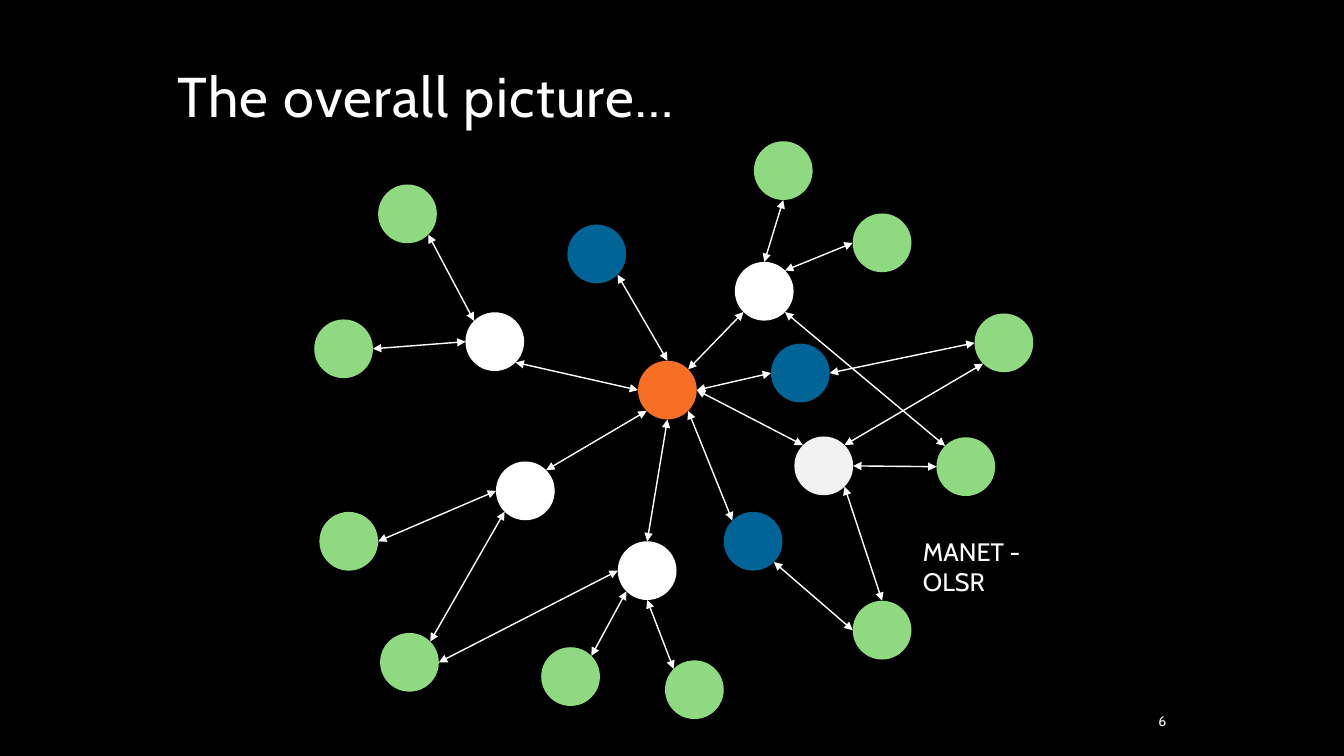
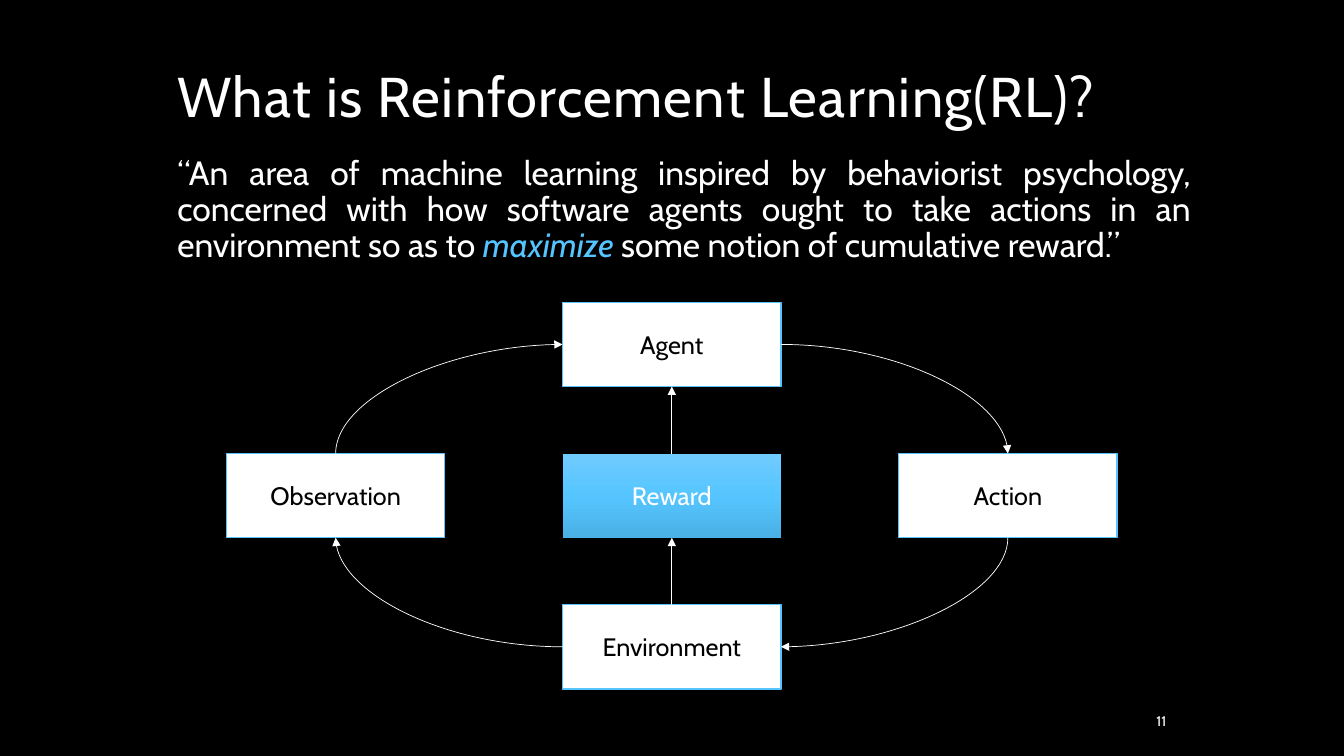
import copy
import math

import pptx
import pptx.dml.color
import pptx.enum.dml
import pptx.enum.shapes
import pptx.enum.text
import pptx.oxml.ns
import pptx.util
from lxml import etree

Cm, Pt = pptx.util.Cm, pptx.util.Pt
ALIGN = pptx.enum.text.PP_ALIGN
ANCHOR = pptx.enum.text.MSO_ANCHOR
SHAPE = pptx.enum.shapes.MSO_SHAPE
CONNECTOR = pptx.enum.shapes.MSO_CONNECTOR
qn = pptx.oxml.ns.qn

COLORS = {
    "black": "000000", "white": "FFFFFF", "pale": "F2F2F2",
    "orange": "F86E24", "blue": "006496", "green": "8FDA81",
    "sky": "56C5FF", "sky_light": "70CBFF", "sky_dark": "4AB0E5",
}
FONT = "Cabin"
TOP, LEFT, BOTTOM, RIGHT = range(4)


def rgb(name):
    return pptx.dml.color.RGBColor.from_string(COLORS[name])


class Deck:
    """Holds the shared style and the slide being drawn."""

    def __init__(self):
        self.prs = pptx.Presentation()
        self.prs.slide_width, self.prs.slide_height = Cm(33.87), Cm(19.05)
        self.slide = None

    def new_slide(self, title, number):
        self.slide = self.prs.slides.add_slide(self.prs.slide_layouts[6])
        self.slide.background.fill.solid()
        self.slide.background.fill.fore_color.rgb = rgb("black")
        heading = self.text([title], 4.22, 1.07, 25.4, 2.33, 40, anchor=ANCHOR.BOTTOM)
        heading.line_spacing = 0.9
        heading.runs[0]._r.get_or_add_rPr().set("spc", "100")
        self.text([number], 27.31, 17.78, 2.33, 0.76, 10,
                  align=ALIGN.RIGHT, anchor=ANCHOR.MIDDLE)

    def set_text(self, frame, parts, size, color, align, anchor):
        """Fill a text frame; a part given as a tuple is emphasised."""
        frame.word_wrap = True
        frame.vertical_anchor = anchor
        paragraph = frame.paragraphs[0]
        paragraph.alignment = align
        paragraph.font.name, paragraph.font.size = FONT, Pt(size)
        paragraph.font.color.rgb = rgb(color)
        for part in parts:
            run = paragraph.add_run()
            if isinstance(part, tuple):
                run.text = part[0]
                run.font.italic = True
                run.font.color.rgb = rgb("sky")
            else:
                run.text = part
        return paragraph

    def text(self, parts, left, top, width, height, size,
             align=ALIGN.LEFT, anchor=ANCHOR.TOP):
        box = self.slide.shapes.add_textbox(Cm(left), Cm(top), Cm(width), Cm(height))
        return self.set_text(box.text_frame, parts, size, "white", align, anchor)

    def shape(self, kind, center, width, height, fill):
        x, y = center
        shape = self.slide.shapes.add_shape(
            kind, Cm(x - width / 2), Cm(y - height / 2), Cm(width), Cm(height))
        shape.shadow.inherit = False
        shape.line.fill.background()
        shape.fill.solid()
        shape.fill.fore_color.rgb = rgb(fill)
        return shape

    def node(self, center, diameter, fill):
        self.shape(SHAPE.OVAL, center, diameter, diameter, fill)

    def box(self, label, center, width, height, gradient=None):
        box = self.shape(SHAPE.RECTANGLE, center, width, height, "white")
        if gradient:
            box.fill.gradient()
            box.fill.gradient_angle = 270
            stop_list = box._element.spPr.find(qn("a:gradFill")).find(qn("a:gsLst"))
            stop_list.append(copy.deepcopy(stop_list[0]))
            for i, (stop, color) in enumerate(zip(box.fill.gradient_stops, gradient)):
                stop.position = i / 2
                stop.color.rgb = rgb(color)
        else:
            box.line.color.rgb = rgb("sky")
            box.line.width = Pt(1)
        self.set_text(box.text_frame, [label], 18, "white" if gradient else "black",
                      ALIGN.CENTER, ANCHOR.MIDDLE)
        return box

    def connector(self, kind, start, end, weight, arrows):
        line = self.slide.shapes.add_connector(kind, *map(Cm, start + end))
        line.line.color.rgb = rgb("white")
        line.line.width = Pt(weight)
        stroke = line._element.spPr.find(qn("a:ln"))
        for arrow in arrows:
            etree.SubElement(stroke, qn("a:" + arrow)).set("type", "triangle")
        etree.SubElement(line._element.spPr, qn("a:effectLst"))
        return line

    def join(self, kind, source, source_side, target, target_side, arrow):
        line = self.connector(kind, (0, 0), (0, 0), 0.5, [arrow])
        line.begin_connect(source, source_side)
        line.end_connect(target, target_side)
        if kind == CONNECTOR.CURVE:
            # A quarter bend: leaves sideways, arrives vertically
            line._element.spPr.find(qn("a:prstGeom")).set("prst", "curvedConnector2")


# Network: colour and centre of each node
NODE_SIZE = 1.48
NODES = {
    "hub": ("orange", 16.82, 9.83),
    "relay east": ("pale", 20.76, 11.74),
    "relay southwest": ("white", 13.24, 12.37),
    "relay west": ("white", 12.47, 8.61),
    "relay south": ("white", 16.31, 14.38),
    "relay north": ("white", 19.26, 7.34),
    "blue south": ("blue", 18.98, 13.64),
    "blue east": ("blue", 20.17, 9.4),
    "blue north": ("blue", 15.04, 6.4),
    "leaf west": ("green", 8.66, 8.79),
    "leaf northwest": ("green", 10.27, 5.39),
    "leaf north": ("green", 19.74, 4.3),
    "leaf northeast": ("green", 22.23, 6.12),
    "leaf east": ("green", 25.3, 8.64),
    "leaf far east": ("green", 24.34, 11.76),
    "leaf southeast": ("green", 22.23, 15.88),
    "leaf south": ("green", 14.38, 17.05),
    "leaf far south": ("green", 17.5, 17.38),
    "leaf southwest": ("green", 8.79, 13.64),
    "leaf far southwest": ("green", 10.32, 16.69),
}
# Links: node and compass side at each end
LINKS = [
    ("relay west", "NW", "leaf northwest", "SE"),
    ("relay west", "W", "leaf west", "E"),
    ("hub", "W", "relay west", "SE"),
    ("hub", "SW", "relay southwest", "NE"),
    ("relay southwest", "W", "leaf southwest", "E"),
    ("leaf far southwest", "NE", "relay southwest", "SW"),
    ("leaf far southwest", "E", "relay south", "W"),
    ("leaf south", "NE", "relay south", "SW"),
    ("leaf far south", "NW", "relay south", "S"),
    ("relay south", "N", "hub", "S"),
    ("blue south", "NW", "hub", "SE"),
    ("relay east", "NW", "hub", "E"),
    ("leaf southeast", "W", "blue south", "SE"),
    ("leaf southeast", "N", "relay east", "SE"),
    ("hub", "NE", "relay north", "SW"),
    ("hub", "E", "blue east", "W"),
    ("relay north", "N", "leaf north", "S"),
    ("relay north", "NE", "leaf northeast", "W"),
    ("blue east", "E", "leaf east", "W"),
    ("relay east", "NE", "leaf east", "SW"),
    ("relay east", "E", "leaf far east", "W"),
    ("leaf far east", "NW", "relay north", "SE"),
    ("hub", "N", "blue north", "SE"),
]
COMPASS = ["E", "SE", "S", "SW", "W", "NW", "N", "NE"]


def rim_point(name, side):
    """Point on a node's rim in the given compass direction."""
    _, x, y = NODES[name]
    angle = COMPASS.index(side) * math.pi / 4
    return (x + NODE_SIZE / 2 * math.cos(angle), y + NODE_SIZE / 2 * math.sin(angle))


def network_slide(deck):
    deck.new_slide("The overall picture…", "6")
    for color, x, y in NODES.values():
        deck.node((x, y), NODE_SIZE, color)
    for source, source_side, target, target_side in LINKS:
        deck.connector(CONNECTOR.STRAIGHT, rim_point(source, source_side),
                       rim_point(target, target_side), 1, ["headEnd", "tailEnd"])
    deck.text(["MANET - OLSR"], 23.01, 13.39, 4.65, 1.02, 18)


def learning_slide(deck):
    deck.new_slide("What is Reinforcement Learning(RL)?", "11")
    definition = deck.text(
        ["“An area of machine learning inspired by behaviorist psychology, concerned "
         "with how software agents ought to take actions in an environment so as to ",
         ("maximize",), " some notion of cumulative reward.”"],
        4.22, 3.81, 26.04, 14.6, 24, align=ALIGN.JUSTIFY)
    definition.line_spacing = 0.9

    # Boxes on a three by three grid: column and row from the middle
    def place(label, column, row, gradient=None):
        center = (16.93 + 8.47 * column, 12.49 + 3.81 * row)
        return deck.box(label, center, 5.5, 2.12, gradient)

    agent = place("Agent", 0, -1)
    reward = place("Reward", 0, 0, ["sky_light", "sky", "sky_dark"])
    environment = place("Environment", 0, 1)
    action = place("Action", 1, 0)
    observation = place("Observation", -1, 0)

    # Outer loop, then the reward path
    curve, straight = CONNECTOR.CURVE, CONNECTOR.STRAIGHT
    deck.join(curve, agent, RIGHT, action, TOP, "tailEnd")
    deck.join(curve, environment, RIGHT, action, BOTTOM, "headEnd")
    deck.join(curve, environment, LEFT, observation, BOTTOM, "tailEnd")
    deck.join(curve, agent, LEFT, observation, TOP, "headEnd")
    deck.join(straight, environment, TOP, reward, BOTTOM, "tailEnd")
    deck.join(straight, reward, TOP, agent, BOTTOM, "tailEnd")


def main():
    deck = Deck()
    network_slide(deck)
    learning_slide(deck)
    deck.prs.save("out.pptx")


if __name__ == "__main__":
    main()
